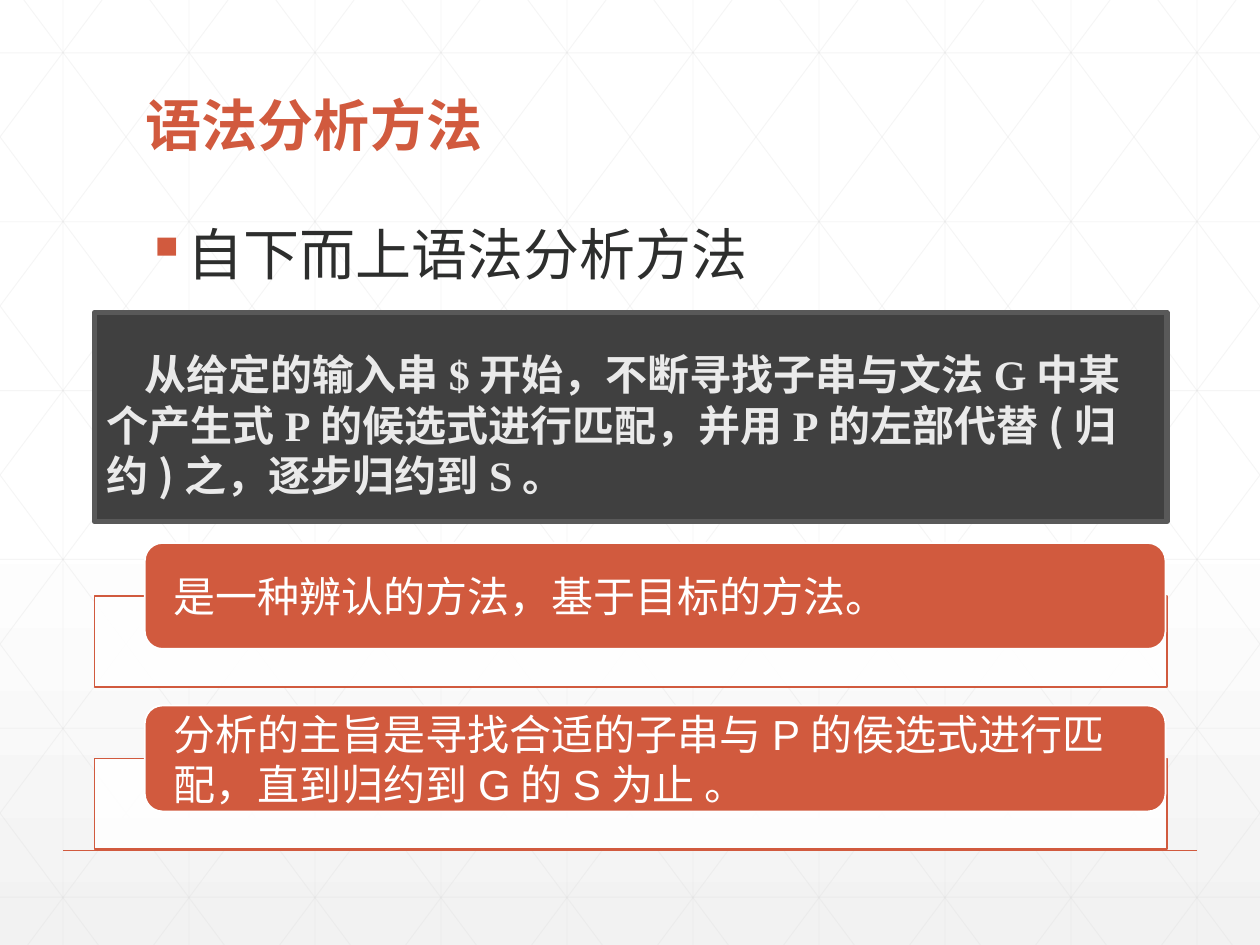
"""Build a slide on bottom-up parsing over a triangular grid."""
import dataclasses

import lxml.etree
import pptx
import pptx.dml.color
import pptx.enum.shapes
import pptx.enum.text
import pptx.oxml.ns
import pptx.util

Inches = pptx.util.Inches
Pt = pptx.util.Pt
Anchor = pptx.enum.text.MSO_ANCHOR
Shape = pptx.enum.shapes.MSO_SHAPE
qn = pptx.oxml.ns.qn

WIDTH, HEIGHT = 10, 7.5


@dataclasses.dataclass(frozen=True)
class Theme:
    accent: str = "D15A3E"
    ink: str = "2D2E2D"
    white: str = "FFFFFF"
    shade: str = "F2F2F2"
    grid: str = "D9D9D9"
    panel: str = "404040"
    panel_border: str = "595959"
    panel_text: str = "EAEAEA"
    chinese: str = "Noto Sans CJK SC"
    serif: str = "Times New Roman"
    sans: str = "Arial"
    heading_size: int = 32
    body_size: int = 24


def rgb(value):
    return pptx.dml.color.RGBColor.from_string(value)


def set_opacity(shape, percent):
    color = shape._element.spPr.find(".//" + qn("a:srgbClr"))
    lxml.etree.SubElement(color, qn("a:alpha"), val=str(percent * 1000))


def write_text(frame, runs, *, size, color, east_asian, bold=False, anchor=Anchor.TOP,
               insets=(0.1, 0.05, 0.1, 0.05), line_spacing=None, indent=0, margin=0,
               bullet=None, bullet_color=None):
    frame.word_wrap = True
    frame.vertical_anchor = anchor
    (frame.margin_left, frame.margin_top,
     frame.margin_right, frame.margin_bottom) = map(Inches, insets)
    paragraph = frame.paragraphs[0]
    paragraph.alignment = pptx.enum.text.PP_ALIGN.LEFT
    properties = paragraph._p.get_or_add_pPr()
    properties.set("marL", str(Inches(margin)))
    properties.set("indent", str(Inches(indent)))
    if bullet:
        holder = lxml.etree.SubElement(properties, qn("a:buClr"))
        lxml.etree.SubElement(holder, qn("a:srgbClr"), val=bullet_color)
        lxml.etree.SubElement(properties, qn("a:buChar"), char=bullet)
    if line_spacing:
        paragraph.line_spacing = line_spacing
    for text, font_name in runs:
        run = paragraph.add_run()
        run.text = text
        run.font.name = font_name
        run.font.size = Pt(size)
        run.font.bold = bold
        run.font.color.rgb = rgb(color)
        lxml.etree.SubElement(run._r.get_or_add_rPr(), qn("a:ea"), typeface=east_asian)


class SlideBuilder:
    def __init__(self, slide, theme):
        self.slide = slide
        self.theme = theme

    def background(self):
        fill = self.slide.background.fill
        fill.gradient()
        fill.gradient_angle = 270
        stops = ((0.53, self.theme.white), (1, self.theme.shade))
        for stop, (position, color) in zip(fill.gradient_stops, stops):
            stop.position = position
            stop.color.rgb = rgb(color)

    def line(self, start, end, color, width, opacity=None):
        connector = self.slide.shapes.add_connector(
            pptx.enum.shapes.MSO_CONNECTOR.STRAIGHT, *map(Inches, (*start, *end)))
        connector.line.color.rgb = rgb(color)
        connector.line.width = Pt(width)
        lxml.etree.SubElement(connector._element.spPr, qn("a:effectLst"))
        if opacity:
            set_opacity(connector, opacity)

    def grid(self):
        segments = [((column + 0.5, 0), (column + 0.5, HEIGHT)) for column in range(10)]
        segments += [((0, 0.42 + 1.34 * row), (WIDTH, 0.42 + 1.34 * row)) for row in range(6)]
        run = 5.59
        slope = HEIGHT / run
        for step in range(-5, 10):
            top = step + 0.19
            left, right = max(top, 0), min(top + run, WIDTH)
            y_left, y_right = (left - top) * slope, (right - top) * slope
            segments.append(((left, y_left), (right, y_right)))
            segments.append(((WIDTH - left, y_left), (WIDTH - right, y_right)))
        for start, end in segments:
            self.line(start, end, self.theme.grid, 0.5, opacity=25)

    def box(self, kind, bounds, fill, border, width):
        shape = self.slide.shapes.add_shape(kind, *map(Inches, bounds))
        shape.shadow.inherit = False
        shape.fill.solid()
        shape.fill.fore_color.rgb = rgb(fill)
        shape.line.color.rgb = rgb(border)
        shape.line.width = Pt(width)
        return shape

    def heading(self, text, bounds, color, **text_format):
        textbox = self.slide.shapes.add_textbox(*map(Inches, bounds))
        write_text(textbox.text_frame, [(text, self.theme.chinese)], color=color,
                   size=self.theme.heading_size, east_asian=self.theme.chinese,
                   line_spacing=0.9, **text_format)

    def panel(self, pieces):
        theme = self.theme
        shape = self.box(Shape.RECTANGLE, (0.75, 2.48, 8.51, 1.66),
                         theme.panel, theme.panel_border, 3.25)
        runs = [(piece, theme.serif if index % 2 else theme.chinese)
                for index, piece in enumerate(pieces)]
        write_text(shape.text_frame, runs, size=theme.body_size, color=theme.panel_text,
                   east_asian=theme.chinese, bold=True, indent=0.3,
                   insets=(0.1, 0.29, 0.1, 0.01))

    def card(self, text, top):
        theme = self.theme
        frame = self.box(Shape.RECTANGLE, (0.75, top + 0.42, 8.51, 0.72),
                         theme.white, theme.accent, 1)
        set_opacity(frame, 90)
        label = self.box(Shape.ROUNDED_RECTANGLE, (1.15, top, 8.1, 0.84),
                         theme.accent, theme.white, 1)
        write_text(label.text_frame, [(text, theme.sans)], size=theme.body_size,
                   color=theme.white, east_asian=theme.chinese, anchor=Anchor.MIDDLE,
                   insets=(0.19, 0, 0.19, 0))


def main():
    presentation = pptx.Presentation()
    presentation.slide_width = Inches(WIDTH)
    presentation.slide_height = Inches(HEIGHT)
    theme = Theme()
    builder = SlideBuilder(presentation.slides.add_slide(presentation.slide_layouts[6]), theme)
    builder.background()
    builder.grid()
    builder.line((0.5, 6.75), (9.5, 6.75), theme.accent, 1)
    builder.heading("语法分析方法", (1.06, 0.55, 7.88, 0.76), theme.accent,
                    bold=True, anchor=Anchor.BOTTOM)
    builder.heading("自下而上语法分析方法", (1.06, 1.75, 7.88, 4.59), theme.ink,
                    margin=0.25, indent=-0.25, bullet="▪", bullet_color=theme.accent)
    builder.panel(["从给定的输入串", "$", "开始，不断寻找子串与文法", "G", "中某个产生式", "P",
                   "的候选式进行匹配，并用", "P", "的左部代替(归约)之，逐步归约到", "S", "。"])
    cards = ["是一种辨认的方法，基于目标的方法。",
             "分析的主旨是寻找合适的子串与P的侯选式进行匹配，直到归约到G的S为止 。"]
    for index, text in enumerate(cards):
        builder.card(text, 4.31 + 1.29 * index)
    presentation.save("out.pptx")


if __name__ == "__main__":
    main()
